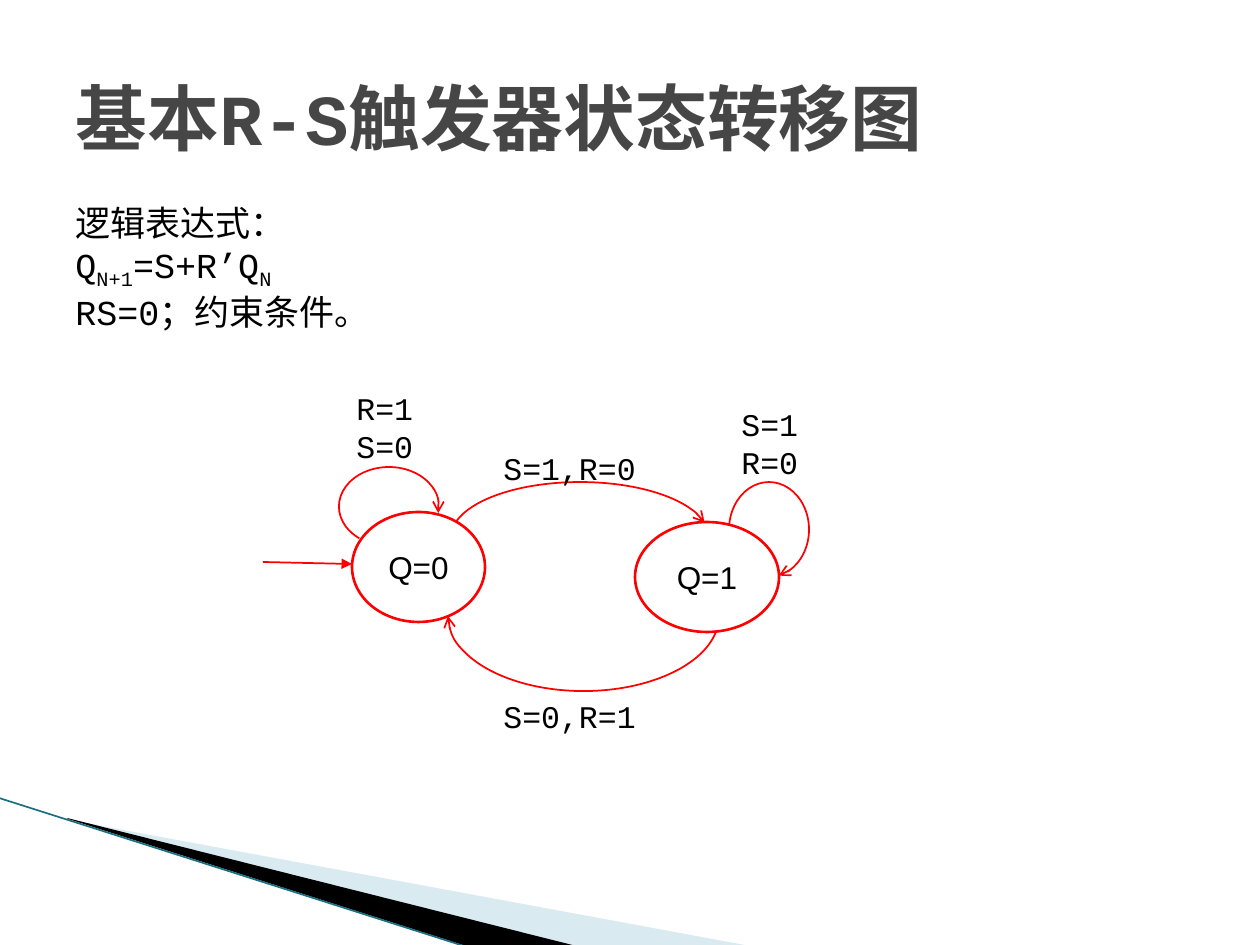
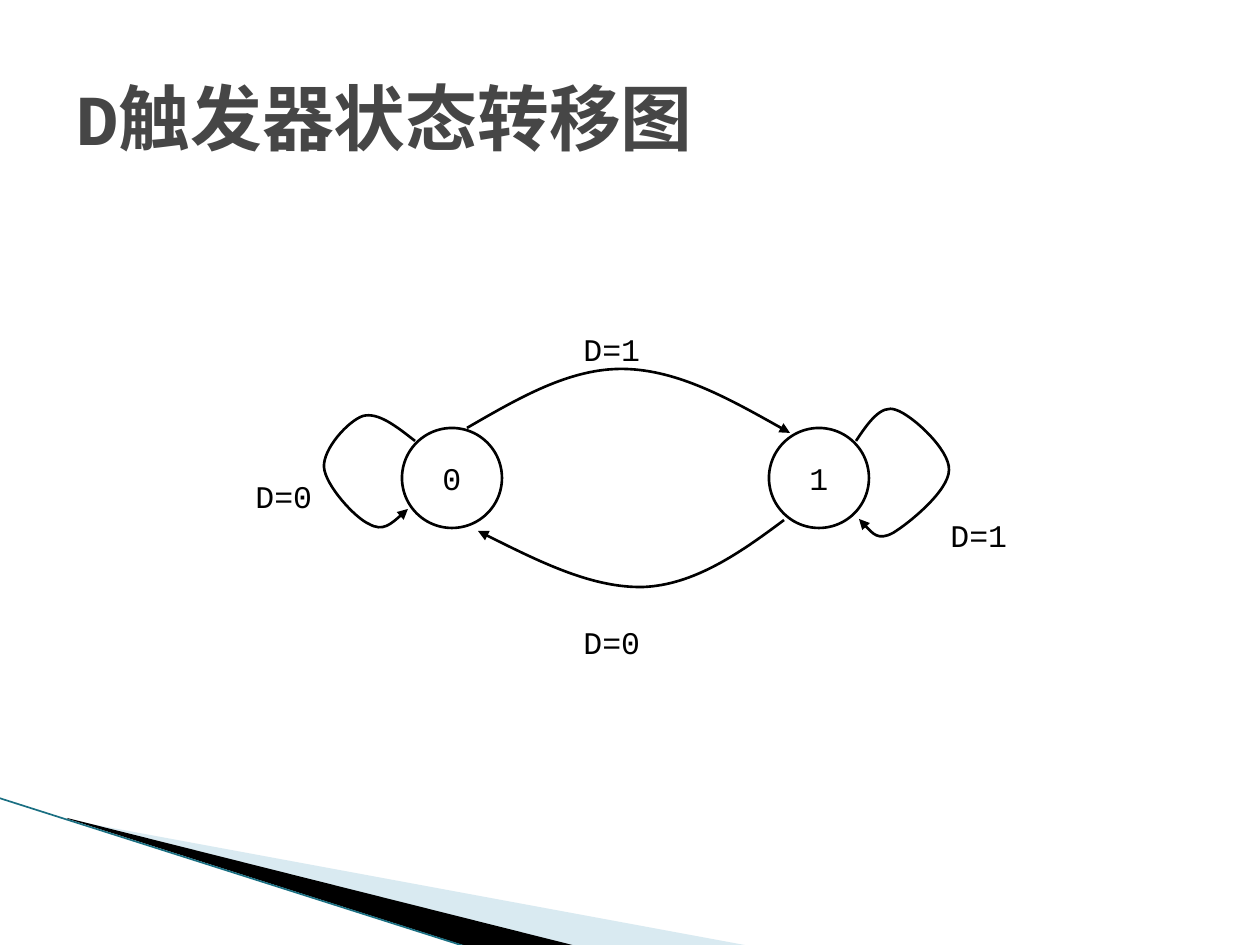
"""Build two slides with the state diagrams of the R-S and D flip-flops."""
from lxml.etree import SubElement
from pptx import Presentation
from pptx.dml.color import RGBColor
from pptx.enum.lang import MSO_LANGUAGE_ID as LANG
from pptx.enum.shapes import MSO_CONNECTOR, MSO_SHAPE
from pptx.enum.text import MSO_ANCHOR, MSO_AUTO_SIZE, PP_ALIGN
from pptx.oxml.ns import qn
from pptx.util import Pt

PX = 914400 / 126
BLACK = RGBColor(0, 0, 0)
RED = RGBColor(0xFF, 0, 0)
GREY = RGBColor(0x46, 0x46, 0x46)
PALE_BLUE = RGBColor(0xA0, 0xCB, 0xDC)
TEAL = RGBColor(0x1A, 0x6F, 0x82)
MONO, SANS = "Courier New", "Arial"


def emu(*lengths):
    return [round(n * PX) for n in lengths]


class Deck:
    def __init__(self):
        self.prs = Presentation()
        self.prs.slide_width, self.prs.slide_height = emu(1260, 945)

    def slide(self, title):
        self.s = self.prs.slides.add_slide(self.prs.slide_layouts[5])
        self.wedge([(69, 820), (750, 946), (575, 946), (69, 819)], PALE_BLUE, 40)
        self.wedge([(67, 818), (576, 946), (469, 947), (68, 819)], BLACK)
        self.line((-1, 798), (467, 947), TEAL, 0.95)
        sp = self.s.shapes.title
        sp.left, sp.top, sp.width, sp.height = emu(63, 38, 1134, 158)
        tf = sp.text_frame
        tf.auto_size = MSO_AUTO_SIZE.NONE
        tf.vertical_anchor = MSO_ANCHOR.MIDDLE
        self.fill_text(tf, [title], 41, color=GREY, bold=True)

    def fill_text(self, tf, lines, size, font=MONO, color=BLACK, bold=False, align=PP_ALIGN.LEFT):
        for i, line in enumerate(lines):
            p = tf.add_paragraph() if i else tf.paragraphs[0]
            p.alignment = align
            for j, part in enumerate(line.split("_")):
                if not part:
                    continue
                r = p.add_run()
                r.text = part
                f = r.font
                f.size, f.name, f.bold = Pt(size), font, bold
                f.color.rgb = color
                f.language_id = LANG.SIMPLIFIED_CHINESE
                if j % 2:
                    r._r.get_or_add_rPr().set("baseline", "-25000")

    def stroke(self, sp, color, width, arrow=None):
        sp.line.color.rgb = color
        sp.line.width = Pt(width)
        if arrow:
            ln = sp._element.spPr.find(qn("a:ln"))
            SubElement(ln, qn("a:tailEnd")).set("type", arrow)

    def outline(self, sp, color, width, arrow=None):
        sp.shadow.inherit = False
        sp.fill.background()
        self.stroke(sp, color, width, arrow)

    def freeform(self, points):
        fb = self.s.shapes.build_freeform(*points[0], scale=PX)
        fb.add_line_segments(points[1:], close=False)
        sp = fb.convert_to_shape()
        sp.shadow.inherit = False
        return sp

    def wedge(self, points, color, alpha=100):
        sp = self.freeform(points + points[:1])
        sp.fill.solid()
        sp.fill.fore_color.rgb = color
        sp.line.fill.background()
        if alpha < 100:
            clr = sp._element.spPr.find(qn("a:solidFill"))[0]
            SubElement(clr, qn("a:alpha")).set("val", str(alpha * 1000))

    def curve(self, points):
        sp = self.freeform(points)
        geom = next(sp._element.iter(qn("a:path")))
        steps = geom.findall(qn("a:lnTo"))
        for i in range(0, len(steps), 3):
            bezier = SubElement(geom, qn("a:cubicBezTo"))
            for step in steps[i:i + 3]:
                bezier.append(step[0])
                geom.remove(step)
        self.outline(sp, BLACK, 1.5, "triangle")

    def line(self, start, end, color, width, arrow=None):
        cn = self.s.shapes.add_connector(MSO_CONNECTOR.STRAIGHT, *emu(*start, *end))
        self.stroke(cn, color, width, arrow)
        SubElement(cn._element.spPr, qn("a:effectLst"))

    def state(self, text, box, color, font=MONO):
        sp = self.s.shapes.add_shape(MSO_SHAPE.OVAL, *emu(*box))
        self.outline(sp, color, 1.5)
        tf = sp.text_frame
        tf.vertical_anchor = MSO_ANCHOR.MIDDLE
        self.fill_text(tf, [text], 18, font, align=PP_ALIGN.CENTER)

    def arc(self, box, start, end, rotation=0):
        sp = self.s.shapes.add_shape(MSO_SHAPE.ARC, *emu(*box))
        sp.adjustments[0], sp.adjustments[1] = start, end
        sp.rotation = rotation
        self.outline(sp, RED, 1, "arrow")

    def text(self, lines, box, size=18, wrap=False):
        tf = self.s.shapes.add_textbox(*emu(*box)).text_frame
        tf.word_wrap = wrap
        tf.auto_size = MSO_AUTO_SIZE.SHAPE_TO_FIT_TEXT
        self.fill_text(tf, lines, size)


def rs_slide(d):
    d.slide("基本R-S触发器状态转移图")
    d.text(["逻辑表达式：", "Q_N+1_=S+R’Q_N_", "RS=0；约束条件。"], (63, 195, 421, 140), 20, True)
    d.state("Q=0", (352, 512, 133, 110), RED, SANS)
    d.state("Q=1", (635, 522, 144, 110), RED, SANS)
    d.line((263, 562), (352, 564), RED, 1, "triangle")
    d.arc((451, 482, 258, 110), 112.13, 212.06)
    d.arc((448, 541, 271, 150), 112.28, 0, 180)
    d.arc((339, 467, 100, 79), 79.77, 4.52)
    d.arc((729, 482, 80, 95), 111.73, 46.78)
    for text, y in (("S=1,R=0", 443), ("S=0,R=1", 691)):
        d.text([text], (491, y, 164, 50))
    d.text(["R=1", "S=0"], (344, 383, 91, 89))
    d.text(["S=1", "R=0"], (729, 399, 91, 89))


def d_slide(d):
    d.slide("D触发器状态转移图")
    for text, x in (("0", 402), ("1", 769)):
        d.state(text, (x, 428, 100, 100), BLACK)
    d.curve([(467, 428), (519, 398), (570, 368), (624, 369), (678, 370), (735, 402), (790, 433)])
    d.curve([(784, 520), (740, 553), (694, 585), (643, 587), (592, 588), (534, 559), (478, 531)])
    d.curve([(415, 441), (396, 426), (378, 412), (363, 416), (348, 421), (323, 449), (324, 467),
             (325, 485), (355, 518), (369, 524), (383, 532), (396, 520), (408, 509)])
    d.curve([(856, 441), (868, 423), (881, 404), (896, 410), (912, 415), (950, 450), (949, 470),
             (949, 491), (908, 524), (893, 533), (878, 541), (868, 529), (859, 519)])
    for text, x, y in (("D=1", 571, 324), ("D=0", 571, 617), ("D=0", 243, 471), ("D=1", 938, 510)):
        d.text([text], (x, y, 94, 50))


def main():
    d = Deck()
    rs_slide(d)
    d_slide(d)
    d.prs.save("out.pptx")


if __name__ == "__main__":
    main()
